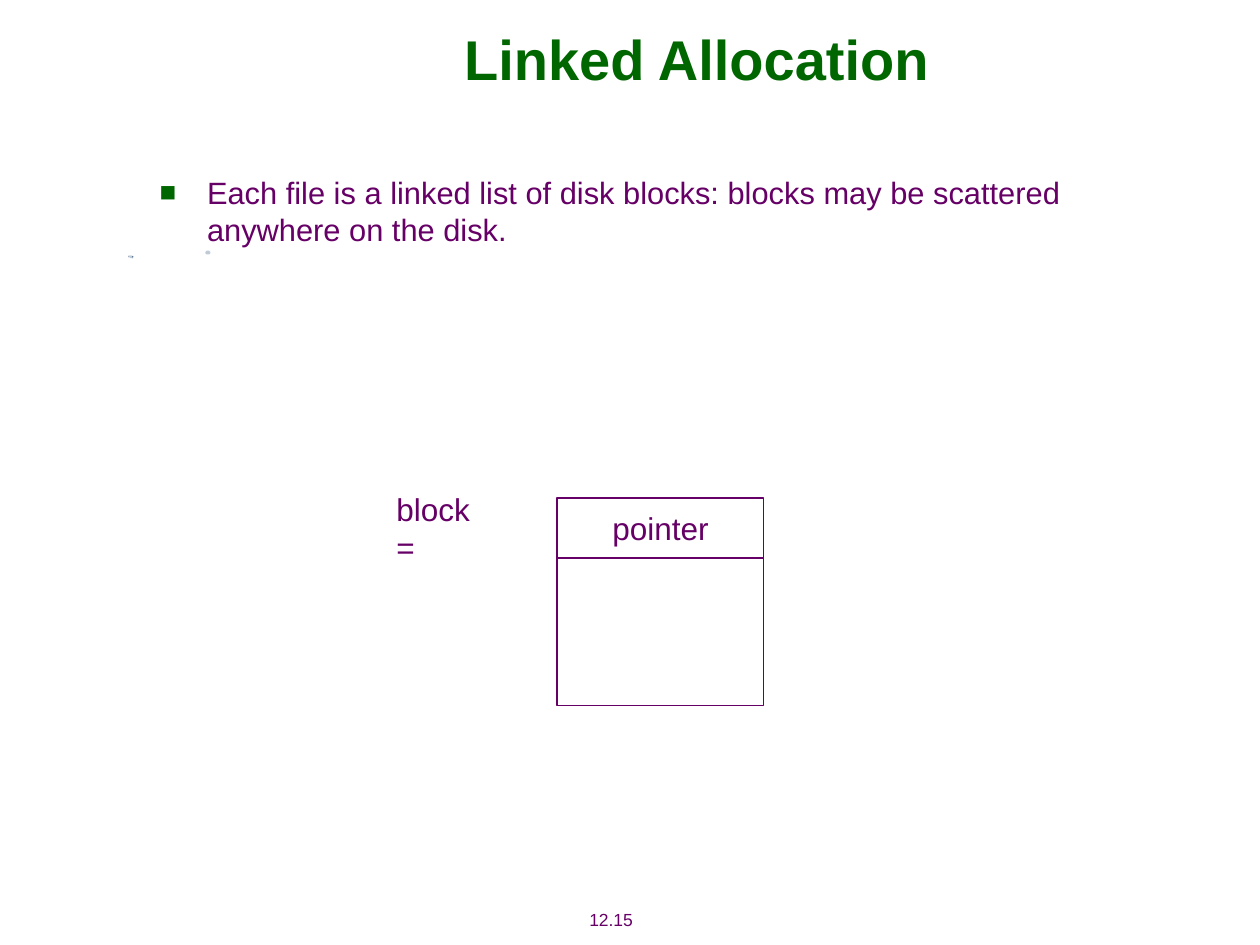
"""Build the Linked Allocation slide."""
from lxml import etree
from pptx import Presentation
from pptx.dml.color import RGBColor
from pptx.enum.shapes import MSO_SHAPE
from pptx.enum.text import MSO_ANCHOR, PP_ALIGN
from pptx.oxml.ns import qn
from pptx.util import Pt

RECT = MSO_SHAPE.RECTANGLE
TOP, MIDDLE = MSO_ANCHOR.TOP, MSO_ANCHOR.MIDDLE
LEFT, CENTER = PP_ALIGN.LEFT, PP_ALIGN.CENTER

GREEN = RGBColor(0x00, 0x66, 0x00)
PURPLE = RGBColor(0x66, 0x00, 0x66)
WHITE = RGBColor(0xFF, 0xFF, 0xFF)
NAVY = RGBColor(0x28, 0x4C, 0x70)
PALE = RGBColor(0xBF, 0xCC, 0xD8)

FONT = "Arial"
GRID = 0.72
BLOTS = [
    (NAVY, [(103, 204), (104, 204), (105, 205), (105, 204), (106, 204),
            (105, 203), (103, 203), (102, 203), (102, 204)]),
    (PALE, [(104, 203), (102, 203), (102, 204), (103, 204), (104, 205),
            (105, 204), (105, 203)]),
    (PALE, [(166, 202), (164, 202), (163, 201), (163, 200), (164, 199),
            (166, 199), (167, 200), (167, 201)]),
]


def add_tag(para, name, **attrs):
    props = para._p.get_or_add_pPr()
    return etree.SubElement(props, qn(name), attrs)


def add_bullet(para, indent):
    props = para._p.get_or_add_pPr()
    props.set("marL", str(Pt(indent)))
    props.set("indent", str(-Pt(indent)))
    color = add_tag(para, "a:buClr")
    etree.SubElement(color, qn("a:srgbClr"), val=str(GREEN))
    add_tag(para, "a:buSzPct", val="90000")
    add_tag(para, "a:buFont", typeface=FONT)
    add_tag(para, "a:buChar", char="■")


def add_tab(para, pos):
    tabs = add_tag(para, "a:tabLst")
    etree.SubElement(tabs, qn("a:tab"), pos=str(Pt(pos)), algn="l")


def write(shape, text, size=18, color=PURPLE, bold=False, align=CENTER,
          anchor=MIDDLE, wrap=False, bullet=None, tab=None):
    frame = shape.text_frame
    frame.word_wrap = wrap
    frame.vertical_anchor = anchor
    para = frame.paragraphs[0]
    para.alignment = align
    if bullet:
        add_bullet(para, bullet)
    if tab:
        add_tab(para, tab)
    run = para.add_run()
    run.text = text
    font = run.font
    font.name, font.size, font.bold = FONT, Pt(size), bold
    font.color.rgb = color


def add_text(slide, box, text, **style):
    shape = slide.shapes.add_textbox(*map(Pt, box))
    write(shape, text, **style)


def add_box(slide, box):
    shape = slide.shapes.add_shape(RECT, *map(Pt, box))
    shape.shadow.inherit = False
    shape.fill.solid()
    shape.fill.fore_color.rgb = WHITE
    shape.line.color.rgb = PURPLE
    shape.line.width = Pt(0.75)
    return shape


def add_blot(slide, color, points):
    pen = slide.shapes.build_freeform(*points[0], scale=Pt(GRID))
    pen.add_line_segments(points[1:], close=True)
    shape = pen.convert_to_shape()
    shape.shadow.inherit = False
    shape.fill.solid()
    shape.fill.fore_color.rgb = color
    shape.line.fill.background()


def main():
    deck = Presentation()
    deck.slide_width, deck.slide_height = Pt(720), Pt(540)
    slide = deck.slides.add_slide(deck.slide_layouts[6])

    add_text(slide, (312.5, 515.5, 73.4, 19.4), "12.15", size=10)
    for color, points in BLOTS:
        add_blot(slide, color, points)

    add_text(slide, (92.2, 0, 612, 66.2), "Linked Allocation",
             size=32, color=GREEN, bold=True, wrap=True)
    add_text(slide, (84.2, 95.8, 553.7, 53.3),
             "Each file is a linked list of disk blocks: blocks may be "
             "scattered anywhere on the disk.",
             size=17.6, align=LEFT, anchor=TOP, wrap=True, bullet=27)

    left, top, width, head, body = 318.4, 284.6, 118.1, 34.2, 84.2
    write(add_box(slide, (left, top, width, head)), "pointer")
    add_box(slide, (left, top + head, width, body))
    add_text(slide, (219.4, 287.3, 96.5, 28.8), "block\t=",
             align=LEFT, tab=72)

    deck.save("out.pptx")


if __name__ == "__main__":
    main()
